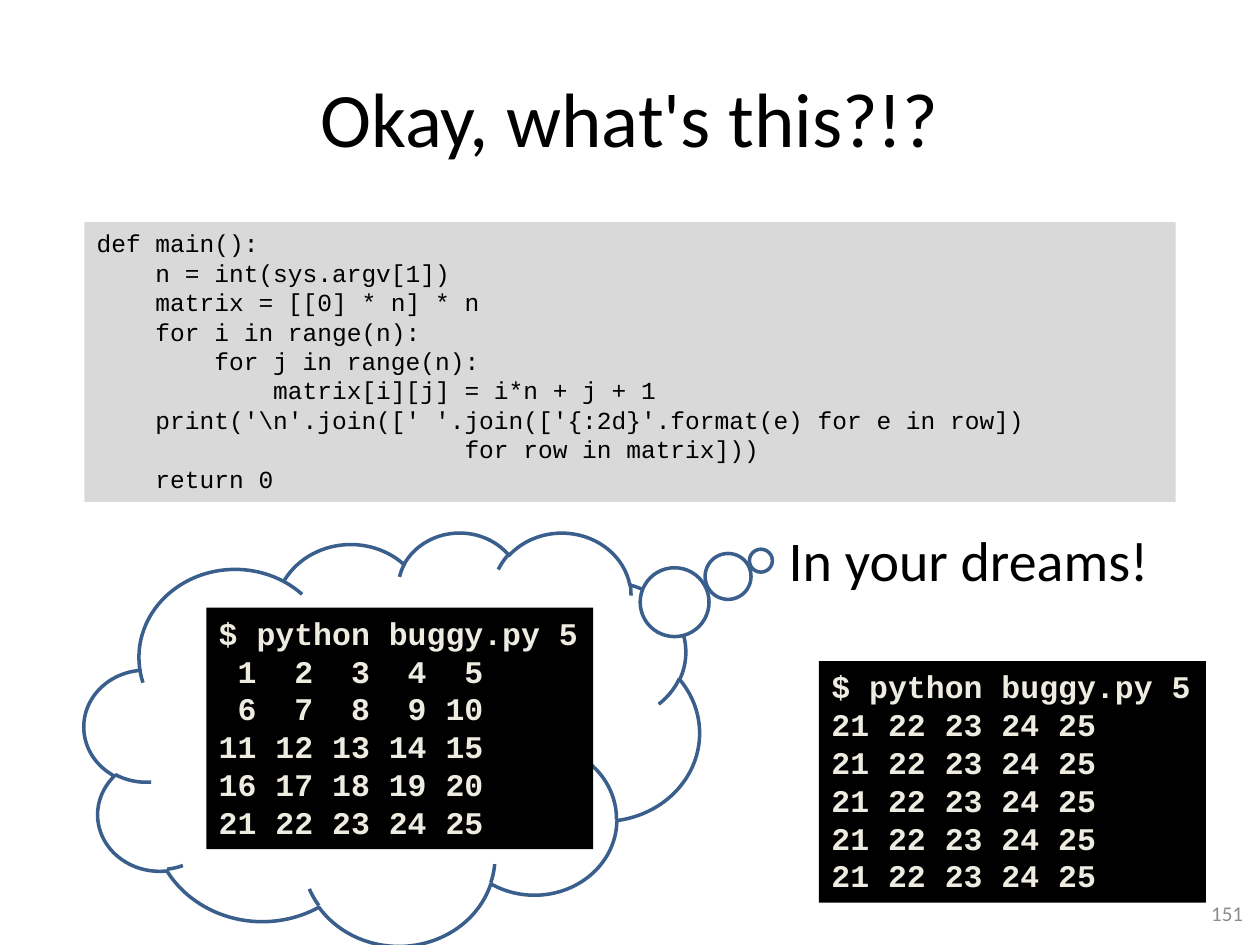
import pptx
import pptx.util
import pptx.dml.color
import pptx.enum.shapes
import pptx.enum.text

Cm = pptx.util.Cm
Pt = pptx.util.Pt
RGB = pptx.dml.color.RGBColor
Kind = pptx.enum.shapes.MSO_SHAPE
Align = pptx.enum.text.PP_ALIGN
Anchor = pptx.enum.text.MSO_ANCHOR
Fit = pptx.enum.text.MSO_AUTO_SIZE

BLACK = RGB(0x00, 0x00, 0x00)
WHITE = RGB(0xFF, 0xFF, 0xFF)
PALE = RGB(0xD9, 0xD9, 0xD9)
CREAM = RGB(0xEE, 0xEC, 0xE1)
GRAY = RGB(0x8C, 0x8C, 0x8C)
BLUE = RGB(0x3A, 0x5F, 0x8C)

# A newline inside an entry is a soft line break
CODE = [
    "def main():",
    "    n = int(sys.argv[1])",
    "    matrix = [[0] * n] * n",
    "    for i in range(n):",
    "        for j in range(n):",
    "            matrix[i][j] = i*n + j + 1",
    r"    print('\n'.join([' '.join(['{:2d}'.format(e) for e in row])"
    "\n                         for row in matrix]))",
    "    return 0",
]
SIZE = 5


class Slide:
    sans = "Calibri"
    mono = "Courier New"

    def __init__(self, deck):
        self.shapes = deck.slides.add_slide(deck.slide_layouts[6]).shapes

    def text(self, shape, lines, size, color, font, bold=False,
             align=Align.LEFT, anchor=Anchor.TOP, wrap=True, grow=False):
        frame = shape.text_frame
        frame.word_wrap = wrap
        frame.auto_size = Fit.SHAPE_TO_FIT_TEXT if grow else Fit.NONE
        frame.vertical_anchor = anchor
        for i, line in enumerate(lines):
            para = frame.add_paragraph() if i else frame.paragraphs[0]
            para.text = line
            para.alignment = align
            para.font.name = font
            para.font.size = Pt(size)
            para.font.bold = bold
            para.font.color.rgb = color

    def label(self, box, words, size, color=BLACK, **style):
        shape = self.shapes.add_textbox(*map(Cm, box))
        self.text(shape, [words], size, color, self.sans, **style)
        return shape

    def shape(self, kind, box, fill):
        shape = self.shapes.add_shape(kind, *map(Cm, box))
        shape.shadow.inherit = False
        shape.fill.solid()
        shape.fill.fore_color.rgb = fill
        shape.line.fill.background()
        return shape

    def panel(self, box, fill, lines, size, color, **style):
        shape = self.shape(Kind.RECTANGLE, box, fill)
        self.text(shape, lines, size, color, self.mono, grow=True, **style)

    def shell(self, left, top, rows):
        lines = [f"$ python buggy.py {SIZE}"]
        lines += [" ".join(f"{n:2d}" for n in row) for row in rows]
        self.panel((left, top, 7.8, 4.87), BLACK, lines, 18, CREAM,
                   bold=True, wrap=False)

    def cloud(self, box, tail):
        shape = self.shape(Kind.CLOUD_CALLOUT, box, WHITE)
        shape.line.color.rgb = BLUE
        shape.line.width = Pt(2)
        for i, value in enumerate(tail):
            shape.adjustments[i] = value
        return shape


def main():
    deck = pptx.Presentation()
    deck.slide_width, deck.slide_height = Cm(25.4), Cm(19.05)
    slide = Slide(deck)

    # Thought bubble with its remark
    cloud = slide.cloud((1.7, 10.72, 12.4, 8.33), (0.6, -0.43))
    dream = slide.label((15.65, 10.46, 7.85, 1.62), "In your dreams!", 32,
                        wrap=False, grow=True)
    slide.shapes.add_group_shape([cloud, dream])

    # Title and code
    slide.label((1.27, 0.76, 22.86, 3.18), "Okay, what's this?!?", 44,
                align=Align.CENTER, anchor=Anchor.MIDDLE)
    slide.panel((1.7, 4.48, 22, 5.64), PALE, CODE, 14, BLACK)

    # Hoped-for and real output
    grid = [[i * SIZE + j + 1 for j in range(SIZE)] for i in range(SIZE)]
    slide.shell(4.16, 12.25, grid)
    slide.shell(16.51, 13.33, grid[-1:] * SIZE)

    # Page number
    slide.label((19.38, 17.9, 5.93, 1.02), "151", 12, GRAY,
                align=Align.RIGHT, anchor=Anchor.MIDDLE)

    deck.save("out.pptx")


if __name__ == "__main__":
    main()
